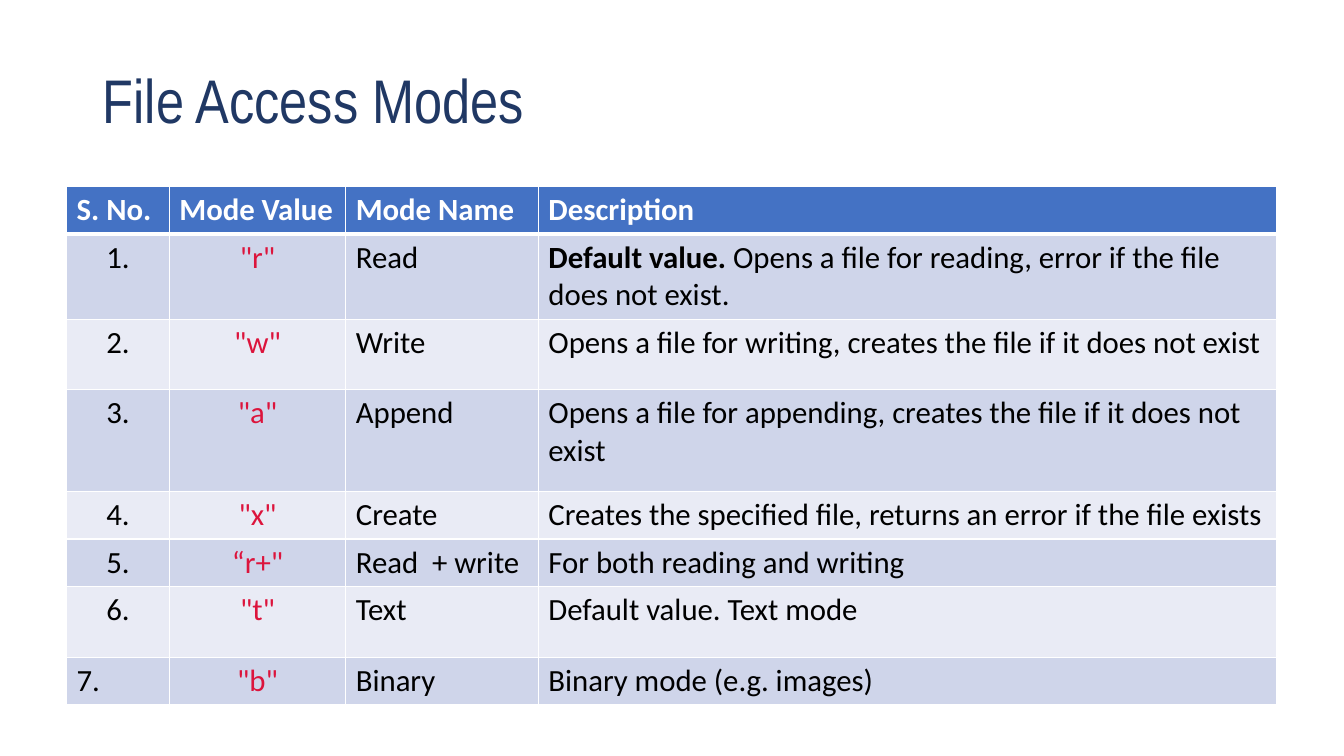
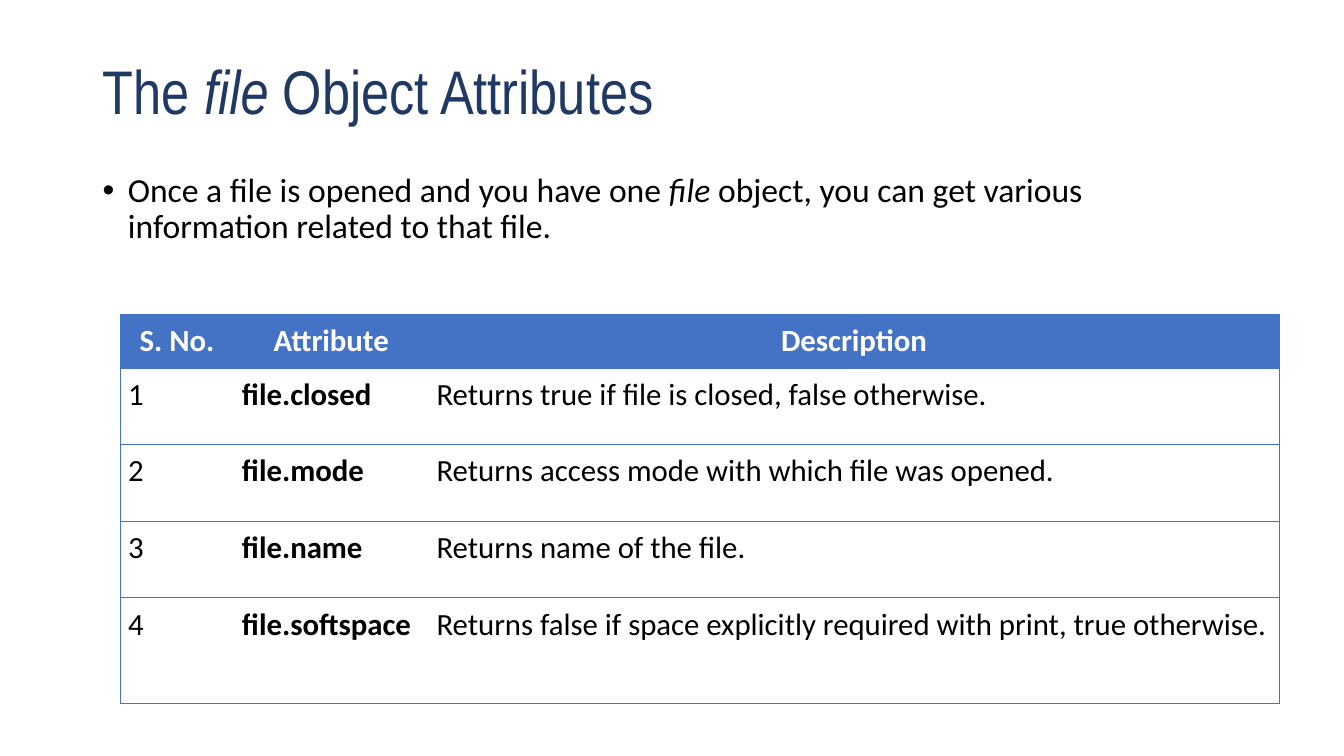
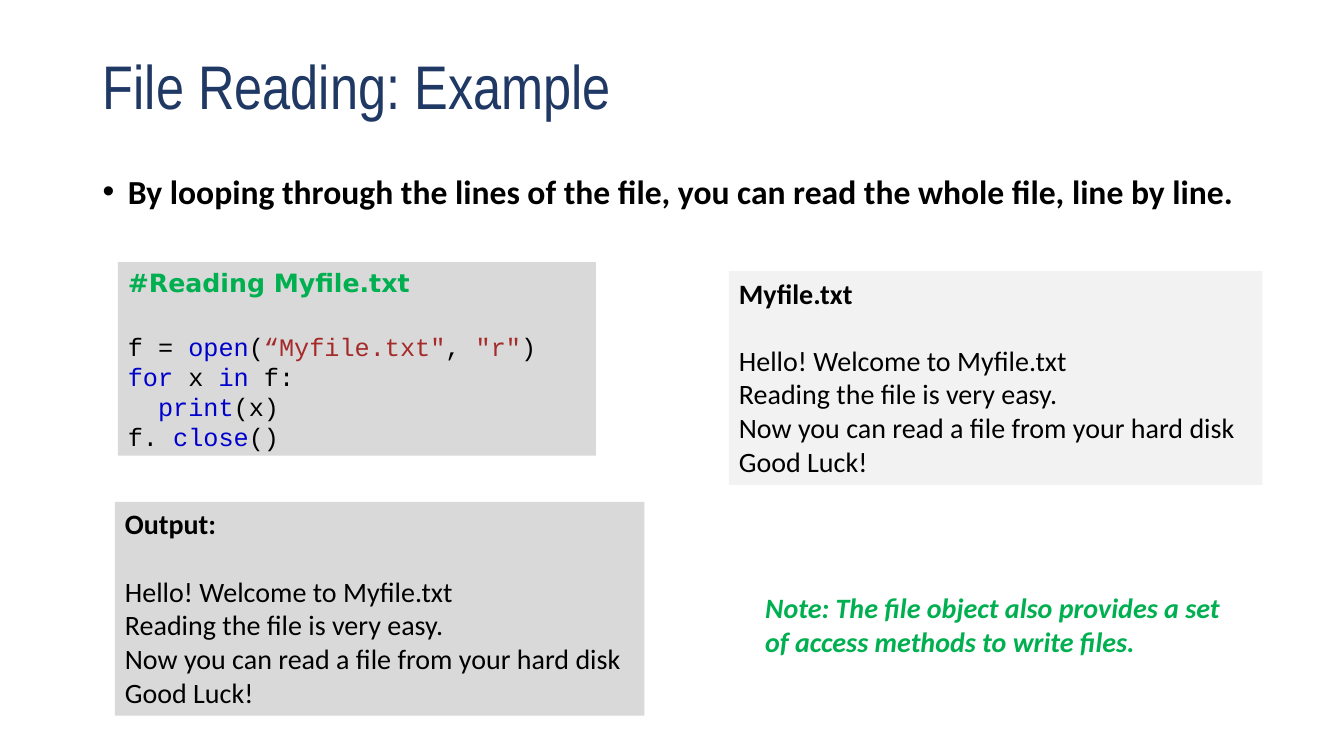
from lxml.etree import SubElement as Sub
from pptx import Presentation
from pptx.dml.color import RGBColor as RGB
from pptx.enum.shapes import MSO_SHAPE as SHAPE
from pptx.enum.text import MSO_ANCHOR as ANCHOR, MSO_AUTO_SIZE as AUTO, PP_ALIGN as ALIGN
from pptx.oxml.ns import qn
from pptx.util import Pt

PX = 9144  # 100 px to the inch
LEFT, MID, JUST = ALIGN.LEFT, ALIGN.CENTER, ALIGN.JUSTIFY
HUE = {
    "title": "203864", "head": "4472C4", "odd": "CFD5EA", "even": "E9EBF5",
    "white": "FFFFFF", "black": "000000", "red": "DC143C", "green": "00B050",
    "grey": "D9D9D9", "pale": "F2F2F2", "word": "0000CD", "quote": "A52A2A",
}
BOLD, SLANT = {"bold": True}, {"italic": True}
WORD, QUOTE = {"hue": "word"}, {"hue": "quote"}

# A text is a list of runs: a plain string, or a string with its own style.
MODES = {
    "at": (66, 185), "cols": (102, 175, 191, 732),
    "rows": (47, 83, 70, 101, 47, 47, 70, 47),
    "head": ["S. No.", "Mode Value", "Mode Name", "Description"],
    "body": [
        ["1.", '"r"', "Read", [("Default value. ", BOLD),
         "Opens a file for reading, error if the file does not exist."]],
        ["2.", '"w"', "Write", "Opens a file for writing, creates the file if it does not exist"],
        ["3.", '"a"', "Append", "Opens a file for appending, creates the file if it does not exist"],
        ["4.", '"x"', "Create", "Creates the specified file, returns an error if the file exists"],
        ["5.", '“r+"', "Read  + write", "For both reading and writing"],
        ["6.", '"t"', "Text", "Default value. Text mode"],
        ["7.", '"b"', "Binary", "Binary mode (e.g. images)"],
    ],
    "aligns": (MID, MID, LEFT, LEFT), "styles": ({}, {"hue": "red"}, {}, {}),
    "head_align": LEFT, "bands": ("odd", "even"),
}
ATTRS = {
    "at": (119, 312), "cols": (113, 193, 844), "rows": (53, 76, 76, 76, 105),
    "head": ["S. No.", "Attribute", "Description"],
    "body": [
        ["1", "file.closed", "Returns true if file is closed, false otherwise."],
        ["2", "file.mode", "Returns access mode with which file was opened."],
        ["3", "file.name", "Returns name of the file."],
        ["4", "file.softspace",
         "Returns false if space explicitly required with print, true otherwise."],
    ],
    "aligns": (LEFT, LEFT, JUST), "styles": ({}, BOLD, {}),
    "head_align": MID, "bands": ("white",), "pad": 8,
}
OPENED = ["Once a file is opened and you have one ", ("file", SLANT),
          " object, you can get various information related to that file."]
LOOPED = "By looping through the lines of the file, you can read the whole file, line by line."
LINES = ["Hello! Welcome to Myfile.txt", "Reading the file is very easy.",
         "Now you can read a file from your hard disk", "Good Luck!"]
PANELS = [("Output:", (114, 498, 525, 212), "grey"),
          ("Myfile.txt", (723, 269, 529, 212), "pale")]
CODE = [  # indent in px, runs
    (0, ["f = ", ("open", WORD), "(", ('“Myfile.txt"', QUOTE), ", ", ('"r"', QUOTE), ")"]),
    (0, [("for", WORD), " x ", ("in", WORD), " f:"]),
    (30, [("print", WORD), "(x)"]),
    (0, ["f. ", ("close", WORD), "()"]),
]
NOTE = "Note: The file object also provides a set of access methods to write files."


def px(*nums):
    return [n * PX for n in nums]


def style(font, hue=None, size=None, name=None, bold=None, italic=None):
    if hue:
        font.color.rgb = RGB.from_string(HUE[hue])
    if size:
        font.size = Pt(size)
    if name:
        font.name = name
    if bold is not None:
        font.bold = bold
    if italic is not None:
        font.italic = italic


def write(para, runs, align=LEFT, **look):
    """Fill a paragraph; look is its font, in Calibri black unless told."""
    para.alignment = align
    style(para.font, **{"hue": "black", "name": "Calibri", "bold": False, **look})
    for item in [runs] if isinstance(runs, str) else runs:
        text, own = (item, {}) if isinstance(item, str) else item
        run = para.add_run()
        run.text = text
        style(run.font, **own)


def paras(frame):
    """Yield the first paragraph, then new ones."""
    yield frame.paragraphs[0]
    while True:
        yield frame.add_paragraph()


def indent(para, left, hang=0):
    props = para._p.get_or_add_pPr()
    props.set("marL", str(left * PX))
    props.set("indent", str(-hang * PX))
    return props


def start(deck, title, high):
    slide = deck.slides.add_slide(deck.slide_layouts[5])
    box = slide.shapes.title
    box.left, box.top, box.width, box.height = px(92, 40, 1150, high)
    frame = box.text_frame
    frame.auto_size, frame.word_wrap = AUTO.NONE, True
    frame.vertical_anchor = ANCHOR.MIDDLE
    para = frame.paragraphs[0]
    para.line_spacing = 0.9
    write(para, title, hue="title", size=44, name="Arial Narrow")
    return slide


def text_box(slide, at):
    frame = slide.shapes.add_textbox(*px(*at)).text_frame
    frame.word_wrap = True
    return frame


def bullet(slide, at, runs, **look):
    para = text_box(slide, at).paragraphs[0]
    para.line_spacing, para.space_before = 0.9, Pt(10)
    write(para, runs, size=24, **look)
    props = indent(para, 25, 25)
    mark = Sub(props, qn("a:buFont"), typeface="Arial")
    char = Sub(props, qn("a:buChar"), char="•")
    props.find(qn("a:defRPr")).addprevious(mark)
    mark.addnext(char)


def panel(slide, at, fill):
    box = slide.shapes.add_shape(SHAPE.RECTANGLE, *px(*at))
    box.shadow.inherit = False
    box.fill.solid()
    box.fill.fore_color.rgb = RGB.from_string(HUE[fill])
    box.line.fill.background()
    box.text_frame.word_wrap = True
    box.text_frame.vertical_anchor = ANCHOR.TOP
    return box.text_frame


def edge(cell, sides):
    """Draw borders; sides maps L, R, T, B to (hue, points) or None."""
    props = cell._tc.get_or_add_tcPr()
    for side in "LRTB":
        line = Sub(props, qn("a:ln" + side))
        if sides[side]:
            hue, wide = sides[side]
            line.set("w", str(int(Pt(wide))))
            Sub(Sub(line, qn("a:solidFill")), qn("a:srgbClr"), val=HUE[hue])
        else:
            Sub(line, qn("a:noFill"))


def white_grid(row, col, last):
    thin, thick = ("white", 1), ("white", 3)
    return {"L": thin, "R": thin, "T": thick if row == 1 else thin,
            "B": thick if row == 0 else thin}


def blue_rules(row, col, last):
    rule = ("head", 0.5)
    return {"L": rule if col == 0 else None, "R": rule if col == last else None,
            "T": rule, "B": rule}


def grid(slide, data, sides):
    cols, rows = data["cols"], data["rows"]
    at = px(*data["at"], sum(cols), sum(rows))
    table = slide.shapes.add_table(len(rows), len(cols), *at).table
    table.first_row = table.horz_banding = False
    for part, size in zip(table.columns, cols):
        part.width = size * PX
    for part, size in zip(table.rows, rows):
        part.height = size * PX
    bands = data["bands"]
    for r, texts in enumerate([data["head"]] + data["body"]):
        for c, text in enumerate(texts):
            cell = table.cell(r, c)
            edge(cell, sides(r, c, len(cols) - 1))
            cell.fill.solid()
            fill = bands[(r - 1) % len(bands)] if r else "head"
            cell.fill.fore_color.rgb = RGB.from_string(HUE[fill])
            if "pad" in data:
                cell.margin_left = cell.margin_right = data["pad"] * PX
                cell.margin_top = cell.margin_bottom = data["pad"] * PX
            if r == 0:
                align, look = data["head_align"], {"hue": "white", "bold": True}
            else:
                align, look = data["aligns"][c], data["styles"][c]
            if text == "7.":
                align = LEFT
            write(cell.text_frame.paragraphs[0], text, align, size=22, **look)


def example(slide):
    for head, at, fill in PANELS:
        new = paras(panel(slide, at, fill))
        top = next(new)
        write(top, head, size=20, bold=True)
        top.space_after = Pt(24)
        for line in LINES:
            write(next(new), line, size=20)
    bullet(slide, (92, 169, 1161, 50), LOOPED, bold=True)
    new = paras(panel(slide, (117, 260, 474, 192), "grey"))
    top = next(new)
    write(top, "#Reading Myfile.txt", size=18, name="DejaVu Sans", hue="green", bold=True)
    top.space_after = Pt(24)
    for left, runs in CODE:
        para = next(new)
        write(para, runs, size=18, name="Courier New")
        para.line_spacing = Pt(21.6)
        indent(para, left)
    note = text_box(slide, (749, 581, 478, 77)).paragraphs[0]
    write(note, NOTE, size=20, hue="green", bold=True, italic=True)


def main():
    deck = Presentation()
    deck.slide_width, deck.slide_height = px(1333, 750)
    grid(start(deck, "File Access Modes", 125), MODES, white_grid)
    slide = start(deck, ["The ", ("file", SLANT), " Object Attributes"], 108)
    bullet(slide, (92, 167, 1150, 509), OPENED)
    grid(slide, ATTRS, blue_rules)
    example(start(deck, "File Reading: Example", 98))
    deck.save("out.pptx")


if __name__ == "__main__":
    main()
